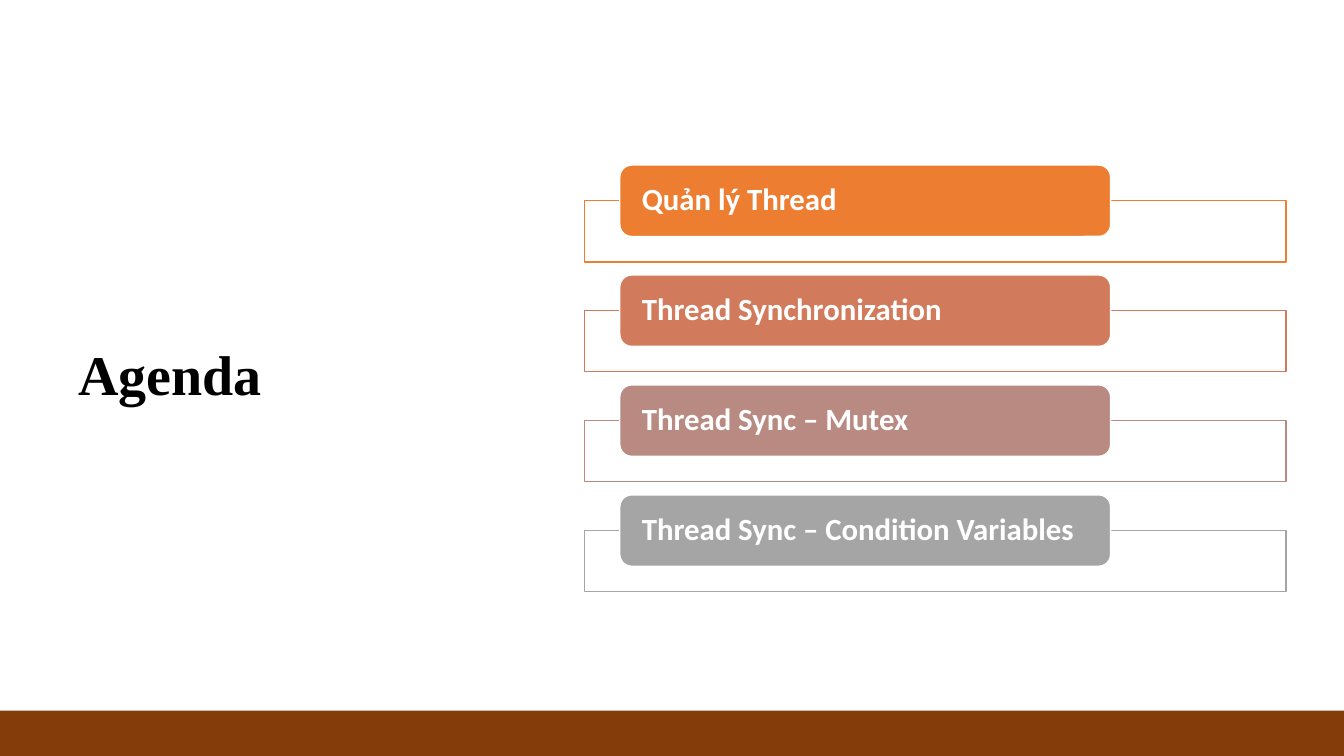
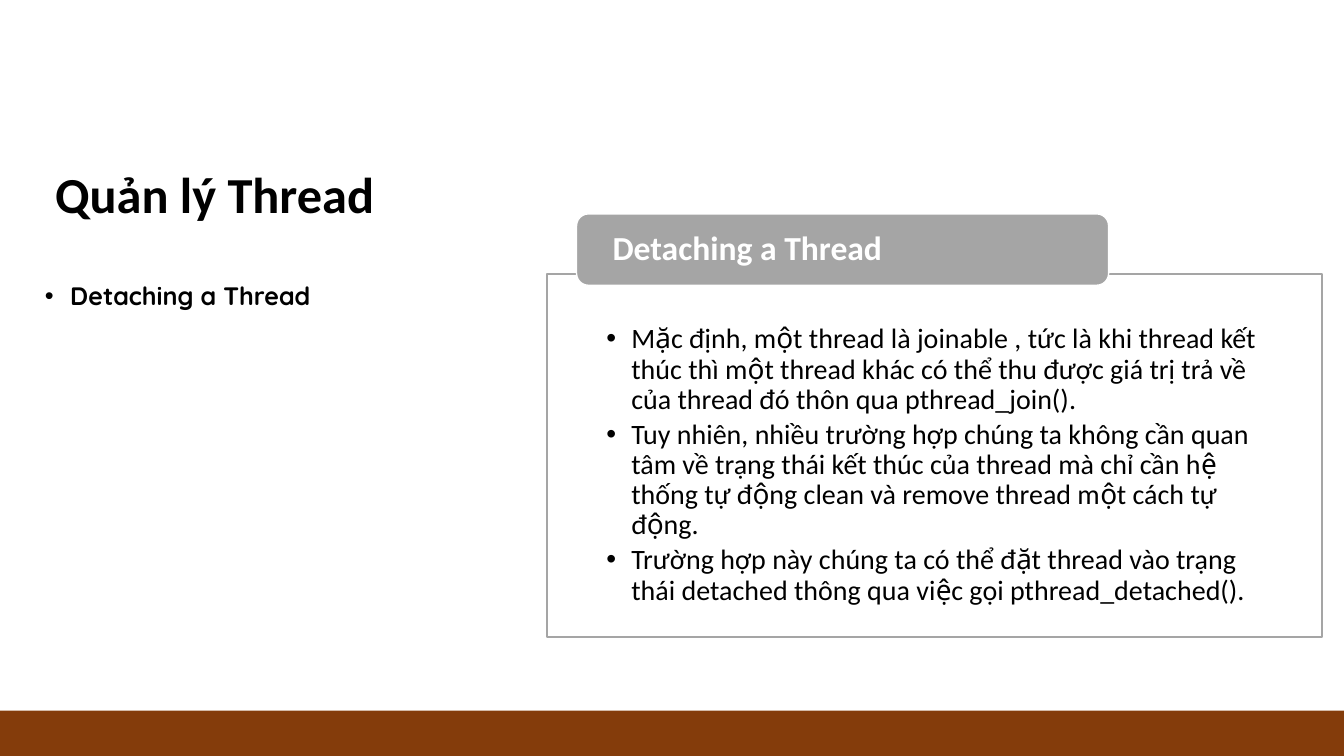
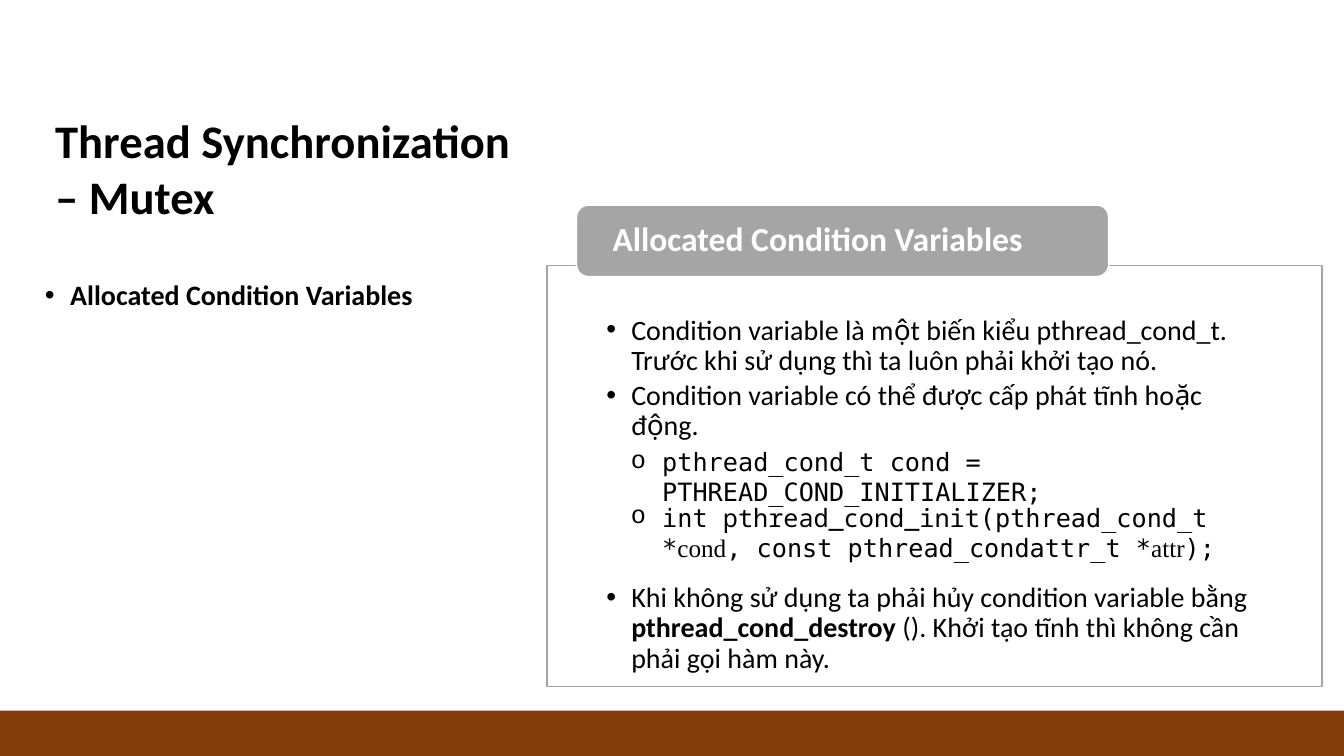
import pptx
import pptx.util
import pptx.dml.color
import pptx.enum.shapes
import pptx.enum.text
import lxml.etree

Cm = pptx.util.Cm
Pt = pptx.util.Pt
SHAPE = pptx.enum.shapes.MSO_SHAPE
ANCHOR = pptx.enum.text.MSO_ANCHOR
ALIGN = pptx.enum.text.PP_ALIGN

WHITE = "FFFFFF"
BLACK = "000000"
BROWN = "843C0B"
GRAY = "A5A5A5"
BODY = "Calibri"
SERIF = "Times New Roman"
MONO = "DejaVu Sans Mono"
MONO_ALT = "Noto Sans Mono"
BULLET_FONTS = {"•": "Arial", "o": "Courier New"}
INSETS = (0.25, 0.13, 0.25, 0.13)
SLIDE_W, SLIDE_H, FOOTER_H = 33.87, 19.05, 1.14

VOWELS = "aâăeêioôơuưy"
TONES = {
    0x300: "àầằèềìòồờùừỳ",
    0x301: "áấắéếíóốớúứý",
    0x303: "ãẫẵẽễĩõỗỡũữỹ",
    0x309: "ảẩẳẻểỉỏổởủửỷ",
    0x323: "ạậặẹệịọộợụựỵ",
}
TONE_MAP = str.maketrans({
    letter: vowel + chr(mark)
    for mark, letters in TONES.items()
    for vowel, letter in zip(VOWELS, letters)
})


def split_tones(text):
    return text.translate(TONE_MAP)


def rgb(color):
    return pptx.dml.color.RGBColor.from_string(color)


def add_box(s, kind, x, y, w, h, fill, line=None):
    sp = s.shapes.add_shape(kind, Cm(x), Cm(y), Cm(w), Cm(h))
    sp.shadow.inherit = False
    sp.fill.solid()
    sp.fill.fore_color.rgb = rgb(fill)
    if line:
        sp.line.color.rgb = rgb(line)
        sp.line.width = Pt(1)
    else:
        sp.line.fill.background()
    return sp


def set_frame(sp, insets=INSETS, anchor=ANCHOR.TOP):
    tf = sp.text_frame
    tf.word_wrap = True
    tf.vertical_anchor = anchor
    tf.margin_left, tf.margin_top, tf.margin_right, tf.margin_bottom = map(Cm, insets)
    return tf


def add_text_box(s, x, y, w, h, anchor=ANCHOR.TOP):
    return set_frame(s.shapes.add_textbox(Cm(x), Cm(y), Cm(w), Cm(h)), anchor=anchor)


def format_run(r, size, font=BODY, color=BLACK, bold=False):
    r.font.size = Pt(size)
    r.font.name = font
    r.font.bold = bold
    r.font.color.rgb = rgb(color)


def write(p, text, size, spacing=1.0, **style):
    p.text = split_tones(text)
    p.alignment = ALIGN.LEFT
    p.line_spacing = spacing
    format_run(p.runs[0], size, **style)


def set_bullet(p, char, left, hanging):
    pPr = p._p.get_or_add_pPr()
    pPr.set("marL", str(Cm(left)))
    pPr.set("indent", str(-Cm(hanging)))
    font = lxml.etree.SubElement(pPr, pptx.oxml.ns.qn("a:buFont"))
    font.set("typeface", BULLET_FONTS[char])
    bullet = lxml.etree.SubElement(pPr, pptx.oxml.ns.qn("a:buChar"))
    bullet.set("char", char)


def add_slide(prs):
    s = prs.slides.add_slide(prs.slide_layouts[6])
    add_box(s, SHAPE.RECTANGLE, 0, SLIDE_H - FOOTER_H, SLIDE_W, FOOTER_H, BROWN)
    return s


def add_header(s, x, y, w, text, size, color, inset):
    sp = add_box(s, SHAPE.ROUNDED_RECTANGLE, x, y, w, 1.8, color, WHITE)
    tf = set_frame(sp, (inset, 0, inset, 0), ANCHOR.MIDDLE)
    write(tf.paragraphs[0], text, size, 0.9, color=WHITE, bold=True)


def add_agenda_item(s, y, text, color):
    add_box(s, SHAPE.RECTANGLE, 14.73, y, 17.68, 1.54, WHITE, color)
    add_header(s, 15.62, y - 0.9, 12.37, text, 22, color, 0.47)


def add_panel(s, y, h, heading, items):
    sp = add_box(s, SHAPE.RECTANGLE, 13.79, y, 19.53, h, WHITE, GRAY)
    tf = set_frame(sp, (1.49, 1.27, 1.49, 0.43))
    for i, (runs, before) in enumerate(items):
        p = tf.paragraphs[0] if i == 0 else tf.add_paragraph()
        p.alignment = ALIGN.LEFT
        p.line_spacing = 0.9
        p.space_before = Pt(before)
        p.space_after = Pt(3.4)
        set_bullet(p, "•", 0.63, 0.63)
        for text, bold in runs:
            r = p.add_run()
            r.text = split_tones(text)
            format_run(r, 20, bold=bold)
    add_header(s, 14.53, y - 1.52, 13.41, heading, 24, GRAY, 0.82)


def add_topic(s, title, title_size, topic, topic_y, topic_size, topic_font):
    tf = add_text_box(s, 1.14, 2.75, 12.34, 3.02, ANCHOR.BOTTOM)
    write(tf.paragraphs[0], title, title_size, bold=True)
    tf = add_text_box(s, 0.56, topic_y, 12.93, 9.7)
    p = tf.paragraphs[0]
    write(p, topic, topic_size, 0.9, font=topic_font, bold=True)
    set_bullet(p, "•", 0.96, 0.64)


def add_code(s, y, h, runs):
    tf = add_text_box(s, 14.38, y, 18.3, h)
    p = tf.paragraphs[0]
    set_bullet(p, "o", 2.06, 0.79)
    for text, font in runs:
        r = p.add_run()
        r.text = text
        format_run(r, 18, font=font)


def build_agenda(prs):
    s = add_slide(prs)
    tf = add_text_box(s, 1.73, 3.23, 10.01, 12.57, ANCHOR.MIDDLE)
    write(tf.paragraphs[0], "Agenda", 40, 0.9, font=SERIF, bold=True)
    items = [
        ("Quản lý Thread", "ED7D31"),
        ("Thread Synchronization", "D17B5C"),
        ("Thread Sync – Mutex", "B98A82"),
        ("Thread Sync – Condition Variables", GRAY),
    ]
    for i, (text, color) in enumerate(items):
        add_agenda_item(s, 5.06 + i * 2.77, text, color)


def build_detaching(prs):
    s = add_slide(prs)
    topic = "Detaching a Thread"
    add_topic(s, "Quản lý Thread", 36, topic, 7.01, 18, "Quicksand")
    texts = [
        "Mặc định, một thread là joinable , tức là khi thread kết thúc thì một thread khác "
        "có thể thu được giá trị trả về của thread đó thôn qua pthread_join().",
        "Tuy nhiên, nhiều trường hợp chúng ta không cần quan tâm về trạng thái kết thúc của "
        "thread mà chỉ cần hệ thống tự động clean và remove thread một cách tự động.",
        "Trường hợp này chúng ta có thể đặt thread vào trạng thái detached thông qua việc "
        "gọi pthread_detached().",
    ]
    add_panel(s, 6.91, 9.14, topic, [([(text, False)], 0) for text in texts])


def build_condition_variables(prs):
    s = add_slide(prs)
    topic = "Allocated Condition Variables"
    add_topic(s, "Thread Synchronization – Mutex", 33.3, topic, 6.96, 20, BODY)
    add_panel(s, 6.69, 10.61, topic, [
        ([("Condition variable là một biến kiểu pthread_cond_t. Trước khi sử dụng thì ta "
           "luôn phải khởi tạo nó.", False)], 0),
        ([("Condition variable có thể được cấp phát tĩnh hoặc động.", False)], 0),
        ([("Khi không sử dụng ta phải hủy condition variable bằng ", False),
          ("pthread_cond_destroy", True),
          (" (). Khởi tạo tĩnh thì không cần phải gọi hàm này.", False)], 98),
    ])
    add_code(s, 11.12, 1.02, [("pthread_cond_t cond = PTHREAD_COND_INITIALIZER;", MONO)])
    add_code(s, 12.52, 1.8, [
        ("int ", MONO),
        ("pthread_cond_init", MONO_ALT),
        ("(pthread_cond_t *", MONO),
        ("cond", SERIF),
        (", const pthread_condattr_t *", MONO),
        ("attr", SERIF),
        (");", MONO),
    ])


def main():
    prs = pptx.Presentation()
    prs.slide_width = Cm(SLIDE_W)
    prs.slide_height = Cm(SLIDE_H)
    build_agenda(prs)
    build_detaching(prs)
    build_condition_variables(prs)
    prs.save("out.pptx")


if __name__ == "__main__":
    main()
